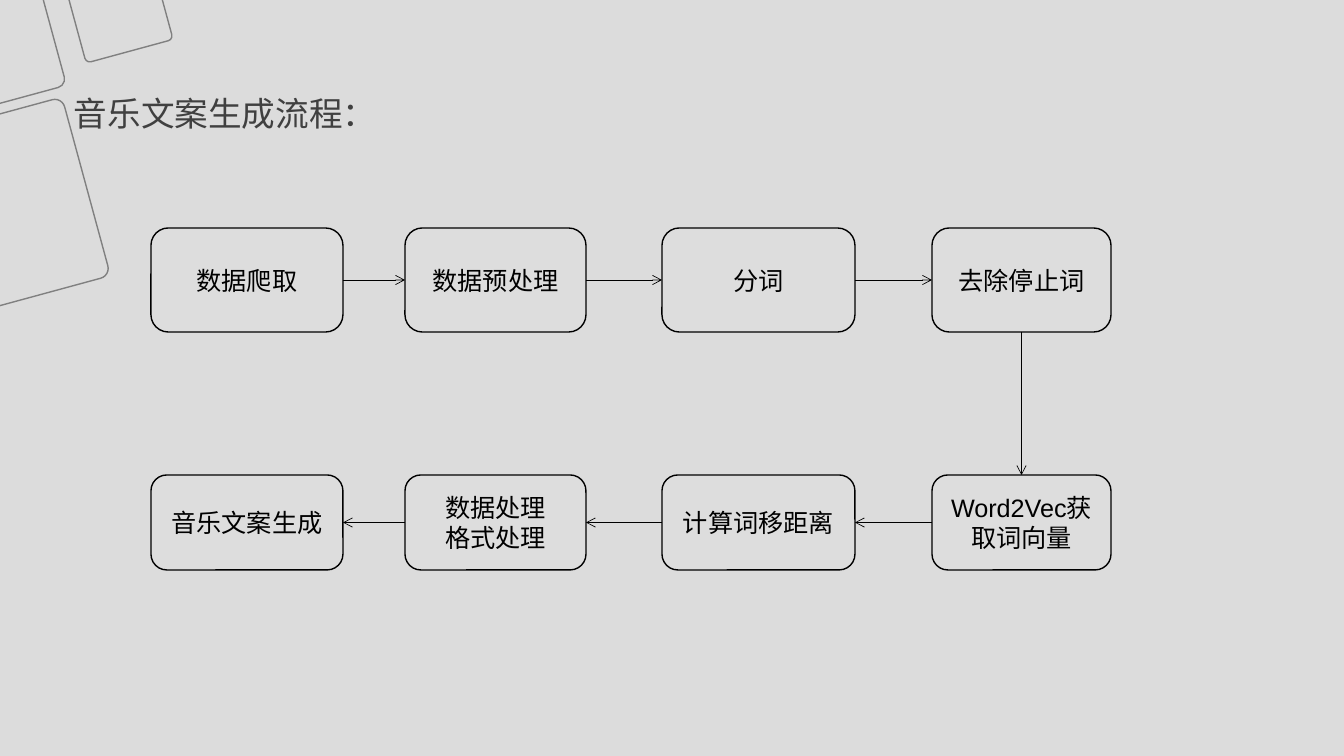
from itertools import pairwise

from lxml.etree import SubElement
from pptx import Presentation
from pptx.dml.color import RGBColor
from pptx.enum.shapes import MSO_CONNECTOR as Link, MSO_SHAPE as Kind
from pptx.enum.text import MSO_ANCHOR as Anchor, PP_ALIGN as Align
from pptx.oxml.ns import qn
from pptx.util import Pt

SCALE = 914400 / 100.8
COLORS = {"back": "DCDCDC", "deco": "808080", "title": "404040",
          "box": "DDDDDD", "ink": "000000"}
TOP, LEFT, BOTTOM, RIGHT = range(4)


def px(*sizes):
    return [round(size * SCALE) for size in sizes]


def color(name):
    return RGBColor.from_string(COLORS[name])


class Board:
    """Draws styled elements on the current slide."""

    font = "Arial"

    def __init__(self, deck):
        self.slide = deck.slides.add_slide(deck.slide_layouts[6])
        self.shapes = self.slide.shapes
        fill = self.slide.background.fill
        fill.solid()
        fill.fore_color.rgb = color("back")

    def label(self, shape, text, size, ink, align):
        frame = shape.text_frame
        frame.word_wrap = True
        frame.vertical_anchor = Anchor.MIDDLE
        frame.text = text
        for para in frame.paragraphs:
            para.alignment = align
            para.font.name = self.font
            para.font.size = Pt(size)
            para.font.color.rgb = color(ink)

    def title(self, text, *area):
        box = self.shapes.add_textbox(*px(*area))
        self.label(box, text, 24, "title", Align.LEFT)

    def frame(self, area, line):
        shape = self.shapes.add_shape(Kind.ROUNDED_RECTANGLE, *px(*area))
        shape.shadow.inherit = False
        shape.fill.background()
        shape.line.color.rgb = color(line)
        shape.line.width = Pt(1)
        return shape

    def deco(self, *area):
        shape = self.frame(area, "deco")
        shape.adjustments[0] = 0.055
        shape.rotation = 344.8

    def step(self, text, *area):
        shape = self.frame(area, "ink")
        shape.fill.solid()
        shape.fill.fore_color.rgb = color("box")
        self.label(shape, text, 18, "ink", Align.CENTER)
        return shape

    def arrow(self, start, out, end, into):
        link = self.shapes.add_connector(Link.STRAIGHT, 0, 0, 0, 0)
        link.begin_connect(start, out)
        link.end_connect(end, into)
        link.line.color.rgb = color("ink")
        link.line.width = Pt(0.5)
        props = link._element.spPr
        SubElement(props.find(qn("a:ln")), qn("a:tailEnd"), type="arrow")
        SubElement(props, qn("a:effectLst"))


def main():
    deck = Presentation()
    deck.slide_width, deck.slide_height = px(1344, 756)
    board = Board(deck)

    for area in [(-134, -46, 183, 158), (-125, 122, 215, 185),
                 (64, -104, 90, 158)]:
        board.deco(*area)
    board.title("音乐文案生成流程：", 64, 70, 1139, 86)

    cols = [(151, 192), (405, 181), (662, 193), (932, 179)]
    rows = [
        (228, 104, ["数据爬取", "数据预处理", "分词", "去除停止词"]),
        (475, 95, ["音乐文案生成", "数据处理\n格式处理", "计算词移距离",
                   "Word2Vec获取词向量"]),
    ]
    upper, lower = [
        [board.step(text, left, top, width, height)
         for text, (left, width) in zip(texts, cols)]
        for top, height, texts in rows
    ]

    for start, end in pairwise(upper):
        board.arrow(start, RIGHT, end, LEFT)
    board.arrow(upper[-1], BOTTOM, lower[-1], TOP)
    for start, end in pairwise(lower[::-1]):
        board.arrow(start, LEFT, end, RIGHT)

    deck.save("out.pptx")


if __name__ == "__main__":
    main()
